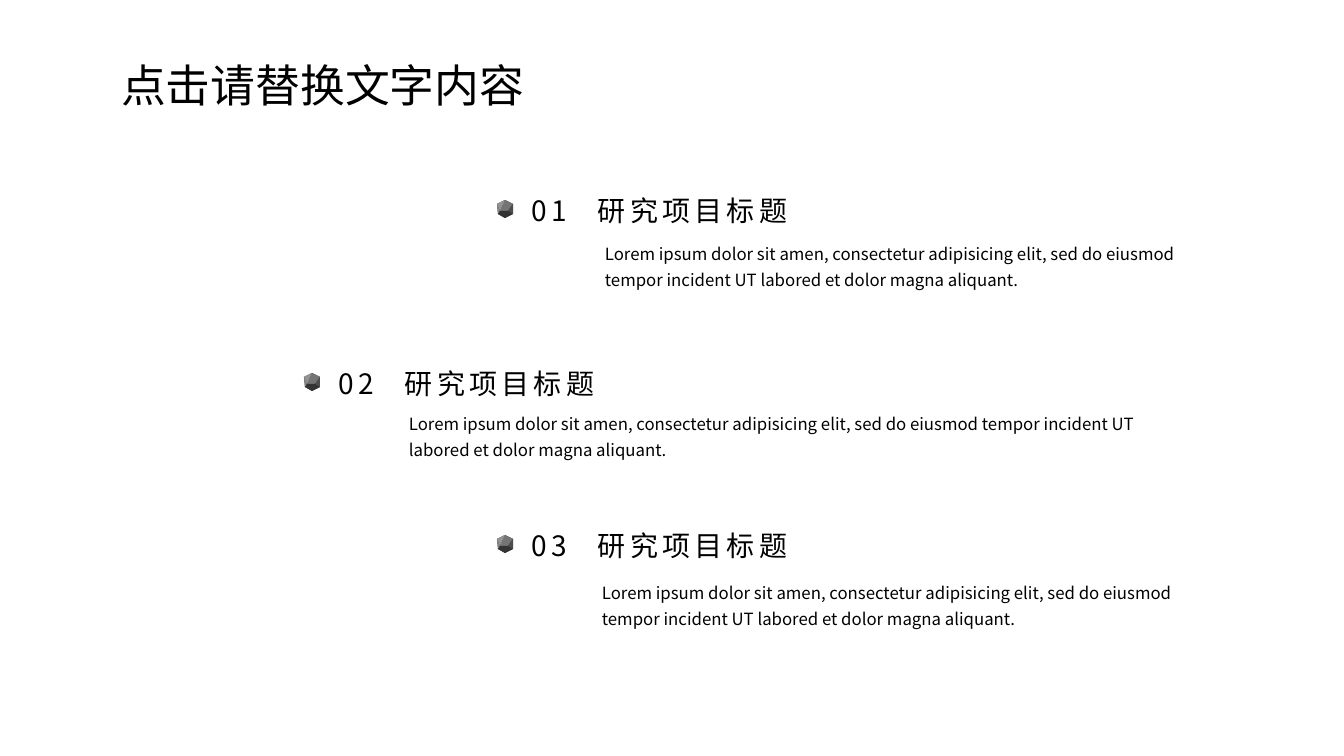
from dataclasses import dataclass

from lxml.etree import SubElement
from pptx import Presentation
from pptx.dml.color import RGBColor
from pptx.enum.text import MSO_ANCHOR, MSO_AUTO_SIZE, PP_ALIGN
from pptx.oxml.ns import qn
from pptx.util import Emu, Pt

# Content
TITLE = "点击请替换文字内容"
DESCRIPTION = (
    "Lorem ipsum dolor sit amen, consectetur adipisicing elit, sed do eiusmod "
    "tempor incident UT labored et dolor magna aliquant."
)
# Heading position, then description position and width, in px
ITEMS = [
    {"number": "01", "heading": "研究项目标题", "heading_at": (522, 189),
     "description": DESCRIPTION, "description_at": (595, 233), "width": 595},
    {"number": "02", "heading": "研究项目标题", "heading_at": (329, 362),
     "description": DESCRIPTION, "description_at": (399, 403), "width": 770},
    {"number": "03", "heading": "研究项目标题", "heading_at": (522, 524),
     "description": DESCRIPTION, "description_at": (592, 572), "width": 595},
]


@dataclass(frozen=True)
class Theme:
    text: str = "000000"
    font: str = "Noto Sans CJK SC"
    heading_font: str = "Noto Sans CJK JP"
    title_size: int = 32
    heading_size: int = 20
    description_size: int = 12
    letter_spacing: int = 300
    line_spacing: float = 1.3


THEME = Theme()

# Layout, in px
SLIDE_WIDTH, SLIDE_HEIGHT = 1344, 756
SCALE = 12192000 / SLIDE_WIDTH
TITLE_BOX = (111, 53, 427, 64)
HEADING_SIZE = (358, 44)
HEADING_TAB = 66
DESCRIPTION_HEIGHT = 64
MARKER_OFFSET = (-25, 11)

# Corners of the faceted marker, in px from its top left
CORNERS = {
    "top": (8, 0), "bottom": (8, 18),
    "upper_left": (0, 4), "upper_right": (16, 4),
    "lower_left": (1, 14), "lower_right": (16, 14),
    "inner_left": (3, 11), "inner_right": (11, 11),
}
FACETS = [
    ("262626", "lower_left upper_left top upper_right lower_right bottom"),
    ("747474", "top inner_left inner_right upper_right"),
    ("939393", "upper_left inner_left top"),
    ("868686", "upper_left lower_left inner_left"),
    ("343434", "lower_left bottom lower_right inner_right inner_left"),
    ("4D4D4D", "upper_right lower_right inner_right"),
]


def px(length):
    return Emu(round(length * SCALE))


def apply(target, values):
    for name, value in values.items():
        setattr(target, name, value)


def write_text(shape, text, size, font_name, wrap=True, line_spacing=None):
    frame = shape.text_frame
    frame.text = text
    apply(frame, {
        "word_wrap": wrap,
        "auto_size": MSO_AUTO_SIZE.SHAPE_TO_FIT_TEXT,
        "vertical_anchor": MSO_ANCHOR.TOP,
    })
    paragraph = frame.paragraphs[0]
    apply(paragraph, {"alignment": PP_ALIGN.LEFT, "line_spacing": line_spacing})
    run = paragraph.runs[0]
    run.font.color.rgb = RGBColor.from_string(THEME.text)
    apply(run.font, {"size": Pt(size), "name": font_name})
    SubElement(run.font._element, qn("a:ea"), typeface=font_name)
    return paragraph


def add_marker(shapes, left, top):
    for color, names in FACETS:
        start, *others = [CORNERS[name] for name in names.split()]
        builder = shapes.build_freeform(*start, scale=SCALE)
        builder.add_line_segments(others, close=True)
        facet = builder.convert_to_shape(px(left), px(top))
        facet.shadow.inherit = False
        facet.fill.solid()
        facet.fill.fore_color.rgb = RGBColor.from_string(color)
        facet.line.fill.background()


def add_heading(shapes, left, top, number, heading):
    box = shapes.add_textbox(px(left), px(top), *map(px, HEADING_SIZE))
    paragraph = write_text(
        box, f"{number}\t{heading}", THEME.heading_size, THEME.heading_font)
    paragraph.runs[0].font._element.set("spc", str(THEME.letter_spacing))
    tabs = SubElement(paragraph._p.get_or_add_pPr(), qn("a:tabLst"))
    SubElement(tabs, qn("a:tab"), pos=str(px(HEADING_TAB)), algn="l")


def main():
    presentation = Presentation()
    apply(presentation, {"slide_width": px(SLIDE_WIDTH), "slide_height": px(SLIDE_HEIGHT)})
    slide = presentation.slides.add_slide(presentation.slide_layouts[5])

    # Title
    title = slide.shapes.title
    apply(title, dict(zip(("left", "top", "width", "height"), map(px, TITLE_BOX))))
    write_text(title, TITLE, THEME.title_size, THEME.font, wrap=False)

    # Numbered items: marker and heading grouped, description below
    for item in ITEMS:
        left, top = item["heading_at"]
        group = slide.shapes.add_group_shape()
        add_marker(group.shapes, left + MARKER_OFFSET[0], top + MARKER_OFFSET[1])
        add_heading(group.shapes, left, top, item["number"], item["heading"])
        description = slide.shapes.add_textbox(
            *map(px, (*item["description_at"], item["width"], DESCRIPTION_HEIGHT)))
        write_text(description, item["description"], THEME.description_size,
                   THEME.font, line_spacing=THEME.line_spacing)

    presentation.save("out.pptx")


if __name__ == "__main__":
    main()
